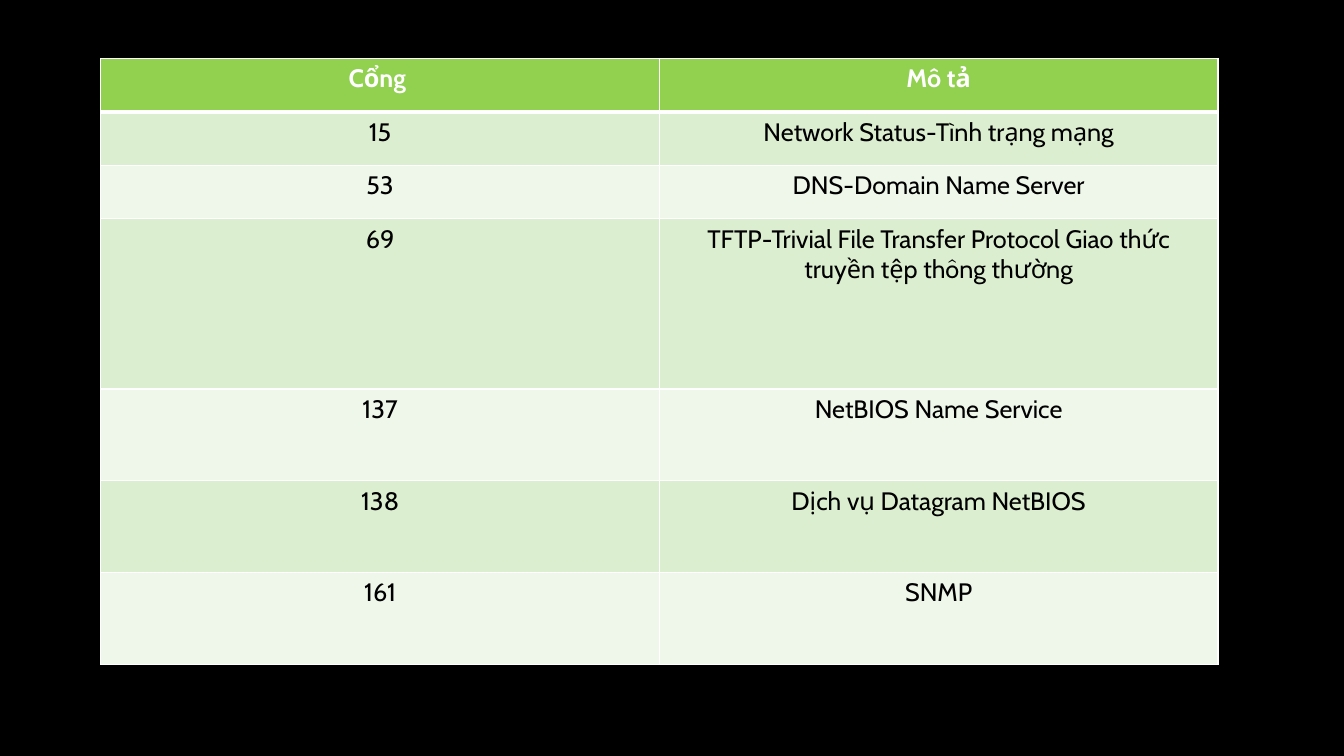
from dataclasses import dataclass

from lxml import etree
from pptx import Presentation
from pptx.dml.color import RGBColor
from pptx.enum.text import PP_ALIGN
from pptx.oxml.ns import qn
from pptx.util import Inches, Pt

CENTER = PP_ALIGN.CENTER


@dataclass(frozen=True)
class Theme:
    background: str = "000000"
    header_fill: str = "92D050"
    bands: tuple = ("DCEED0", "EEF7E9")
    border: str = "FFFFFF"
    header_text: str = "FFFFFF"
    body_text: str = "000000"
    font: str = "Cabin"
    size: int = 18
    thin: int = 1
    thick: int = 3


THEME = Theme()

PORTS = [
    ("Cổng ", "Mô tả"),
    ("15", "Network Status-Tình trạng mạng"),
    ("53", "DNS-Domain Name Server"),
    ("69", "TFTP-Trivial File Transfer Protocol Giao thức truyền tệp thông thường"),
    ("137", "NetBIOS Name Service"),
    ("138", "Dịch vụ Datagram NetBIOS"),
    ("161", "SNMP"),
]
ROW_HEIGHTS = [0.53] * 3 + [1.69] + [0.91] * 3
COL_WIDTH = 5.54


def set_fill(fill, color):
    fill.solid()
    fill.fore_color.rgb = RGBColor.from_string(color)


def set_borders(cell, color, **widths):
    """Add cell borders; call before filling, as lines precede the fill."""
    tcPr = cell._tc.get_or_add_tcPr()
    for side in "LRTB":
        ln = etree.SubElement(tcPr, qn(f"a:ln{side}"), w=str(Pt(widths[side])))
        solid = etree.SubElement(ln, qn("a:solidFill"))
        etree.SubElement(solid, qn("a:srgbClr"), val=color)


def write_text(tf, text, *, color, bold=False, align=CENTER):
    p = tf.paragraphs[0]
    p.alignment = align
    r = p.add_run()
    r.text = text
    r.font.name = THEME.font
    r.font.size = Pt(THEME.size)
    r.font.bold = bold
    r.font.color.rgb = RGBColor.from_string(color)


def add_port_table(s, left, top):
    n_cols = len(PORTS[0])
    table = s.shapes.add_table(
        len(PORTS), n_cols, Inches(left), Inches(top),
        Inches(COL_WIDTH * n_cols), Inches(sum(ROW_HEIGHTS))).table
    for col in table.columns:
        col.width = Inches(COL_WIDTH)

    for i, (values, height) in enumerate(zip(PORTS, ROW_HEIGHTS)):
        table.rows[i].height = Inches(height)
        header = i == 0
        fill = THEME.header_fill if header else THEME.bands[(i - 1) % 2]
        color = THEME.header_text if header else THEME.body_text
        # The rule under the header is shared by the first two rows
        top_width = THEME.thick if i == 1 else THEME.thin
        bottom_width = THEME.thick if header else THEME.thin
        for j, text in enumerate(values):
            cell = table.cell(i, j)
            set_borders(cell, THEME.border, L=THEME.thin, R=THEME.thin,
                        T=top_width, B=bottom_width)
            set_fill(cell.fill, fill)
            write_text(cell.text_frame, text, color=color, bold=header)


def main():
    prs = Presentation()
    prs.slide_width, prs.slide_height = Inches(13.33), Inches(7.5)

    # Blank slide with a black background
    s = prs.slides.add_slide(prs.slide_layouts[6])
    set_fill(s.background.fill, THEME.background)

    # Table of ports and their descriptions
    add_port_table(s, 1, 0.58)
    prs.save("out.pptx")


if __name__ == "__main__":
    main()
